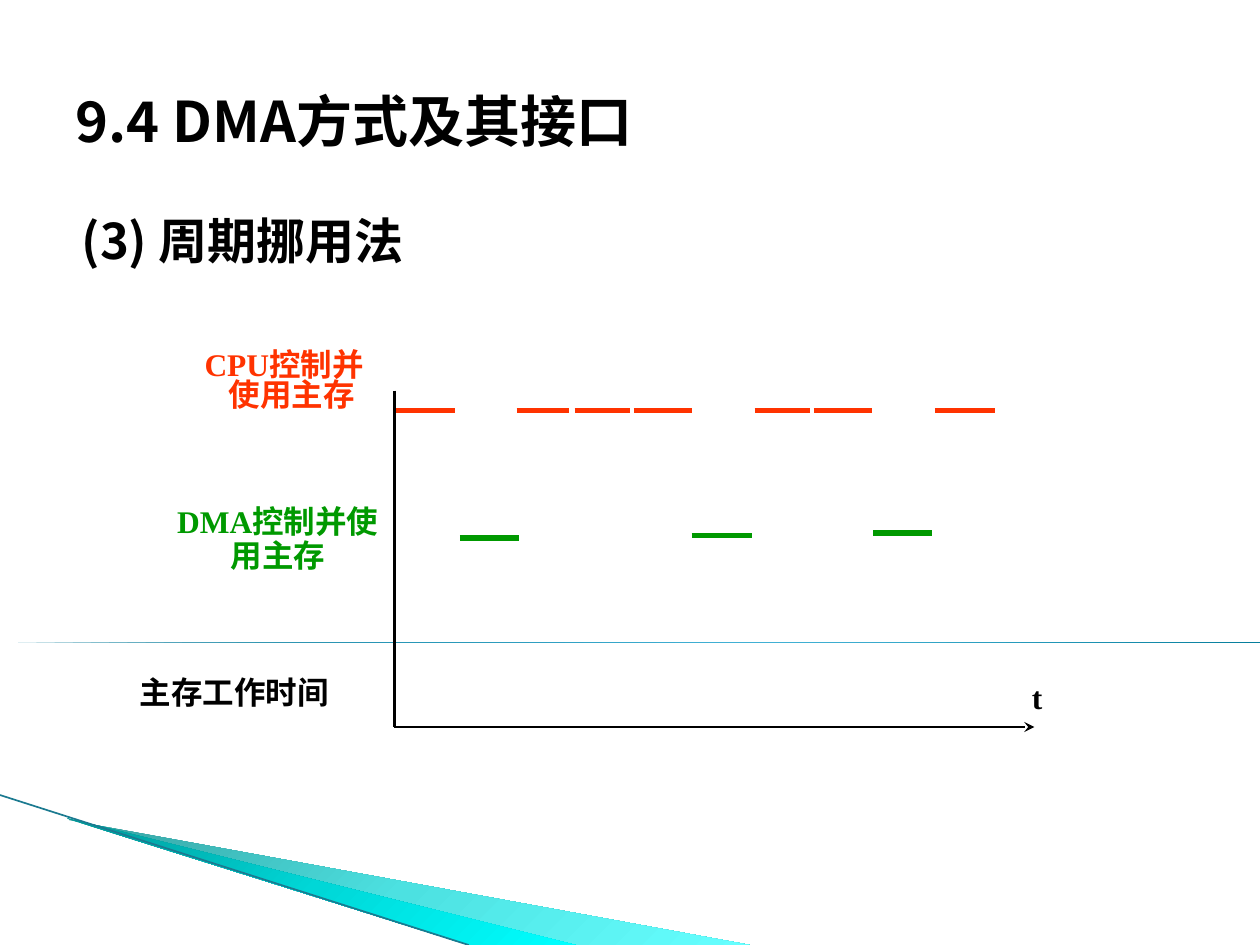
import pptx
import pptx.util
import pptx.oxml
import pptx.oxml.ns
import pptx.dml.color
import pptx.enum.shapes
import pptx.enum.text

Inches = pptx.util.Inches
Pt = pptx.util.Pt
qn = pptx.oxml.ns.qn
ALIGN = pptx.enum.text.PP_ALIGN
ANCHOR = pptx.enum.text.MSO_ANCHOR

WIDTH, HEIGHT = 10, 7.5
HEADING_FONT, LABEL_FONT = "Noto Sans CJK SC", "Times New Roman"
COLORS = {"black": "000000", "cpu": "FF3300", "dma": "009900", "edge": "1B7A90"}

AXIS_X, AXIS_TOP, AXIS_Y, AXIS_END = 3.13, 3.1, 5.77, 8.21
CPU_Y = 3.26
CPU_BURSTS = [(3.13, 3.61), (4.1, 4.52), (4.56, 5), (5.03, 5.49),
              (5.99, 6.43), (6.46, 6.92), (7.42, 7.9)]
DMA_BURSTS = [(3.65, 4.12, 4.27), (5.49, 5.97, 4.25), (6.93, 7.4, 4.23)]

WEDGES = [
    ([(0.55, 6.51), (5.95, HEIGHT), (4.56, HEIGHT), (0.55, 6.5)],
     [(0, "369E9E"), (50, "4CE1E1"), (100, "66FFFF")]),
    ([(0.53, 6.49), (4.57, HEIGHT), (3.72, HEIGHT), (0.54, 6.5)],
     [(0, "009797"), (50, "00D7D7"), (100, "00FFFF")]),
]
RULE_STOPS = [(0, "007896"), (55, "4CBBDF"), (100, "007896")]

HEADINGS = [
    {"box": (0.5, 0.3, 9, 1.25), "size": 32, "font": HEADING_FONT, "color": "black",
     "anchor": ANCHOR.MIDDLE,
     "paragraphs": [("9.4 DMA方式及其接口", {"line_spacing": 1.1})]},
    {"box": (0.43, 1.39, 9.06, 1), "size": 28, "font": HEADING_FONT, "color": "black",
     "indent": (0.4, -0.28),
     "paragraphs": [("(3) 周期挪用法", {"line_spacing": 1.5, "space_before": Pt(4),
                                  "alignment": ALIGN.JUSTIFY})]},
]
LABELS = [
    {"box": (1.3, 2.69, 1.91, 0.61), "color": "cpu", "indent": (0, 0),
     "paragraphs": [("CPU控制并", {"alignment": ALIGN.CENTER}),
                    ("使用主存", {"alignment": ALIGN.CENTER, "line_spacing": 0.2,
                              "space_before": Pt(10)})],
     "last_margin": 0.12},
    {"box": (1.25, 3.97, 1.91, 0.64), "color": "dma",
     "paragraphs": [("DMA控制并使用主存", {"alignment": ALIGN.CENTER, "line_spacing": 0.9})]},
    {"box": (1.01, 5.29, 2.22, 0.4), "color": "black", "paragraphs": [("主存工作时间", {})]},
    {"box": (8.09, 5.33, 0.79, 0.4), "color": "black", "paragraphs": [("t", {})]},
]

presentation = pptx.Presentation()
presentation.slide_width, presentation.slide_height = Inches(WIDTH), Inches(HEIGHT)
slide = presentation.slides.add_slide(presentation.slide_layouts[6])


def rgb(name):
    return pptx.dml.color.RGBColor.from_string(COLORS[name])


def fill_gradient(shape, stops, angle):
    shape.shadow.inherit = False
    shape.line.fill.background()
    shape.fill.gradient()
    gradient = shape._element.spPr.find(qn("a:gradFill"))
    stop_list = gradient.find(qn("a:gsLst"))
    for stop in list(stop_list):
        stop_list.remove(stop)
    for position, color in stops:
        stop = pptx.oxml.parse_xml(
            f'<a:gs {pptx.oxml.ns.nsdecls("a")} pos="{position * 1000}">'
            f'<a:srgbClr val="{color}"/></a:gs>')
        stop_list.append(stop)
    shape.fill.gradient_angle = 360 - angle


def add_line(start, end, color, width, arrow=False):
    line = slide.shapes.add_connector(
        pptx.enum.shapes.MSO_CONNECTOR.STRAIGHT,
        *(Inches(value) for value in (*start, *end)))
    line.line.color.rgb = rgb(color)
    line.line.width = Pt(width)
    if arrow:
        tail = line.line._get_or_add_ln().makeelement(qn("a:tailEnd"), {"type": "stealth"})
        line.line._get_or_add_ln().append(tail)
    properties = line._element.spPr
    properties.append(properties.makeelement(qn("a:effectLst"), {}))


def set_margins(paragraph, left, first):
    properties = paragraph._p.get_or_add_pPr()
    properties.set("marL", str(Inches(left)))
    properties.set("indent", str(Inches(first)))


def add_text(item):
    box = slide.shapes.add_textbox(*(Inches(value) for value in item["box"]))
    frame = box.text_frame
    frame.word_wrap = True
    frame.vertical_anchor = item.get("anchor", ANCHOR.TOP)
    for index, (text, formats) in enumerate(item["paragraphs"]):
        paragraph = frame.add_paragraph() if index else frame.paragraphs[0]
        for name, value in formats.items():
            setattr(paragraph, name, value)
        set_margins(paragraph, *item.get("indent", (0, 0)))
        run = paragraph.add_run()
        run.text = text
        font_values = {"size": Pt(item.get("size", 18)), "bold": True,
                       "name": item.get("font", LABEL_FONT)}
        for name, value in font_values.items():
            setattr(run.font, name, value)
        run.font.color.rgb = rgb(item["color"])
        properties = run._r.get_or_add_rPr()
        properties.append(properties.makeelement(qn("a:ea"), {"typeface": HEADING_FONT}))
    if "last_margin" in item:
        set_margins(paragraph, item["last_margin"], 0)


rule = slide.shapes.add_shape(pptx.enum.shapes.MSO_SHAPE.RIGHT_TRIANGLE,
                              0, Inches(5.1), Inches(WIDTH), 0)
fill_gradient(rule, RULE_STOPS, 50)
for points, stops in WEDGES:
    corners = [(Inches(x), Inches(y)) for x, y in points]
    builder = slide.shapes.build_freeform(*corners[0])
    builder.add_line_segments(corners[1:], close=True)
    fill_gradient(builder.convert_to_shape(), stops, 45)
add_line((0, 6.31), (3.72, HEIGHT), "edge", 0.95)

for heading in HEADINGS:
    add_text(heading)
bursts = [(start, end, CPU_Y, "cpu") for start, end in CPU_BURSTS]
bursts += [(*burst, "dma") for burst in DMA_BURSTS]
for start, end, y, color in bursts:
    add_line((start, y), (end, y), color, 3)
add_line((AXIS_X, AXIS_Y), (AXIS_END, AXIS_Y), "black", 1.5, arrow=True)
add_line((AXIS_X, AXIS_TOP), (AXIS_X, AXIS_Y), "black", 1.5)
for label in LABELS:
    add_text(label)

presentation.save("out.pptx")
